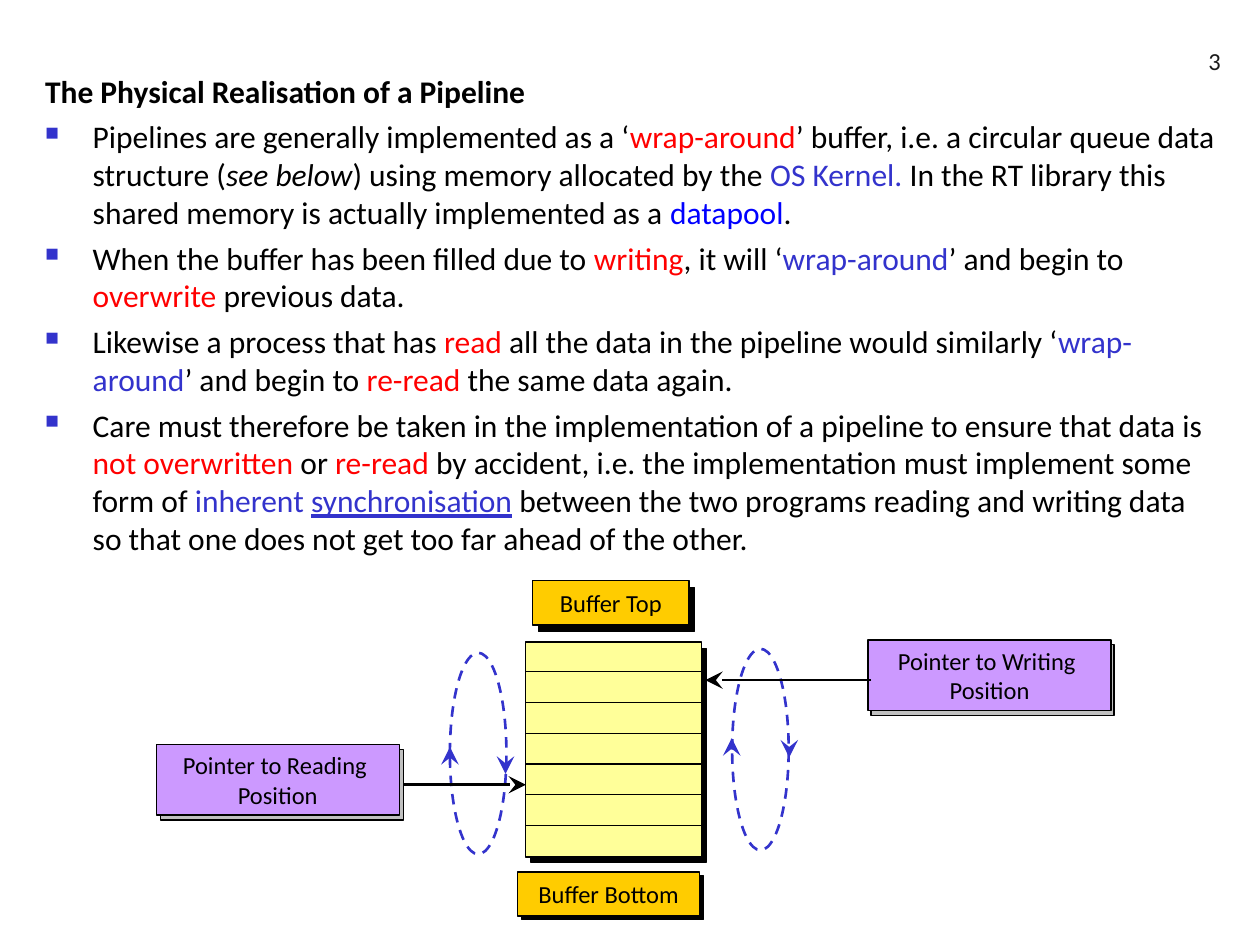
"""Build the slide on the physical realisation of a pipeline."""
from lxml import etree
from pptx import Presentation
from pptx import util as u
from pptx.dml.color import RGBColor
from pptx.enum import dml, shapes, text
from pptx.oxml.ns import qn

BLACK, RED, BLUE, PURE_BLUE = "000000", "FF0000", "3333CC", "0000FF"
GOLD, LILAC, GREY, YELLOW = "FFCC00", "CC99FF", "C0C0C0", "FFFF99"
SHAPE, ANCHOR, ALIGN = shapes.MSO_SHAPE, text.MSO_ANCHOR, text.PP_ALIGN


def paint(colour_format, value):
    colour_format.rgb = RGBColor.from_string(value)


def add(parent, tag, **attributes):
    return etree.SubElement(parent, qn(tag), attributes)


deck = Presentation()
deck.slide_width, deck.slide_height = u.Cm(25.4), u.Cm(19.05)
page = deck.slides.add_slide(deck.slide_layouts[6])

number = page.shapes.add_textbox(u.Cm(19.58), u.Cm(0.38), u.Cm(5.28), u.Cm(1.27))
number.text_frame.vertical_anchor = ANCHOR.BOTTOM
para = number.text_frame.paragraphs[0]
para.text, para.alignment = "3", ALIGN.RIGHT
for name, value in {"name": "Calibri", "size": u.Pt(14)}.items():
    setattr(para.font, name, value)
paint(para.font.color, "1C1C1C")

bold, italic, underline = {"bold": True}, {"italic": True}, {"underline": True}
paragraphs = [
    [("The Physical Realisation of a Pipeline", BLACK, bold)],
    [("Pipelines are generally implemented as a ‘", BLACK, {}),
     ("wrap-around", RED, {}),
     ("’ buffer, i.e. a circular queue data structure (", BLACK, {}),
     ("see below", BLACK, italic),
     (") using memory allocated by the ", BLACK, {}),
     ("OS Kernel. ", BLUE, {}),
     ("In the RT library this shared memory is actually implemented as a ", BLACK, {}),
     ("datapool", PURE_BLUE, {}),
     (".", BLACK, {})],
    [("When the buffer has been filled due to ", BLACK, {}),
     ("writing", RED, {}),
     (", it will ‘", BLACK, {}),
     ("wrap-around", BLUE, {}),
     ("’ and begin to ", BLACK, {}),
     ("overwrite", RED, {}),
     (" previous data.", BLACK, {})],
    [("Likewise a process that has ", BLACK, {}),
     ("read", RED, {}),
     (" all the data in the pipeline would similarly ‘", BLACK, {}),
     ("wrap-around", BLUE, {}),
     ("’ and begin to ", BLACK, {}),
     ("re-read", RED, {}),
     (" the same data again.", BLACK, {})],
    [("Care must therefore be taken in the implementation of a pipeline "
      "to ensure that data is ", BLACK, {}),
     ("not overwritten", RED, {}),
     (" or ", BLACK, {}),
     ("re-read", RED, {}),
     (" by accident, i.e. the implementation must implement some form of ", BLACK, {}),
     ("inherent ", BLUE, {}),
     ("synchronisation", BLUE, underline),
     (" between the two programs reading and writing data so that one does not "
      "get too far ahead of the other.", BLACK, {})],
]
body = page.shapes.add_textbox(u.Cm(0.66), u.Cm(1.32), u.Cm(24.2), u.Cm(16.23))
body.text_frame.word_wrap = True
for index, spans in enumerate(paragraphs):
    para = body.text_frame.paragraphs[0] if index == 0 else body.text_frame.add_paragraph()
    if index:
        properties = para._p.get_or_add_pPr()
        properties.set("marL", str(u.Cm(0.96)))
        properties.set("indent", str(u.Cm(-0.96)))
        add(add(properties, "a:buClr"), "a:srgbClr", val=BLUE)
        add(properties, "a:buSzPct", val="60000")
        add(properties, "a:buChar", char="■")
        para.space_before = u.Pt(4.5)
    for wording, colour, style in spans:
        span = para.add_run()
        span.text = wording
        for name, value in {"name": "Calibri", "size": u.Pt(18), **style}.items():
            setattr(span.font, name, value)
        paint(span.font.color, colour)

boxes = {}
for key, left, top, width, height, fill, label in [
    ("buffer shadow", 10.7, 13.08, 3.54, 4.3, BLACK, ""),
    ("buffer", 10.6, 12.94, 3.54, 4.34, YELLOW, ""),
    ("top shadow", 10.85, 11.84, 3.15, 0.89, BLACK, ""),
    ("top", 10.74, 11.71, 3.15, 0.89, GOLD, "Buffer Top"),
    ("bottom shadow", 10.52, 17.65, 3.66, 0.89, BLACK, ""),
    ("bottom", 10.44, 17.58, 3.66, 0.89, GOLD, "Buffer Bottom"),
    ("reading shadow", 3.23, 15.11, 4.9, 1.42, GREY, ""),
    ("reading", 3.15, 15.01, 4.9, 1.42, LILAC, "Pointer to Reading \vPosition"),
    ("writing shadow", 17.56, 13, 4.9, 1.42, GREY, ""),
    ("writing", 17.5, 12.9, 4.9, 1.42, LILAC, "Pointer to Writing \vPosition"),
]:
    box = page.shapes.add_shape(SHAPE.RECTANGLE, u.Cm(left), u.Cm(top), u.Cm(width), u.Cm(height))
    box.shadow.inherit = False
    box.fill.solid()
    paint(box.fill.fore_color, fill)
    paint(box.line.color, BLACK)
    box.line.width = u.Pt(0.75)
    boxes[key] = box
    if label:
        box.text_frame.word_wrap = False
        box.text_frame.vertical_anchor = ANCHOR.MIDDLE
        para = box.text_frame.paragraphs[0]
        para.text, para.alignment = label, ALIGN.CENTER
        for span in para.runs:
            for name, value in {"name": "Calibri", "size": u.Pt(14)}.items():
                setattr(span.font, name, value)
            paint(span.font.color, BLACK)

for left, top in [(9.07, 13.16), (14.76, 13.08)]:
    loop = page.shapes.add_shape(SHAPE.OVAL, u.Cm(left), u.Cm(top), u.Cm(1.14), u.Cm(4.06))
    loop.shadow.inherit = False
    loop.fill.background()
    paint(loop.line.color, BLUE)
    loop.line.width, loop.line.dash_style = u.Pt(1.5), dml.MSO_LINE.DASH

dividers = [(10.6, 13.54 + 0.62 * row, 14.14, 13.54 + 0.62 * row, BLACK, 0.75, False, None)
            for row in range(6)]
pointers = [
    (8.13, 15.82, 10.6, 15.82, BLACK, 1.5, True, ("reading shadow", 3)),
    (17.56, 13.71, 14.22, 13.71, BLACK, 1.5, True, ("writing shadow", 1)),
]
turns = [(x, start, x, end, BLUE, 0, True, None) for x, start, end in [
    (14.75, 15.19, 14.88), (9.07, 15.39, 15.06), (10.19, 15.29, 15.6), (15.91, 14.96, 15.27)]]
for x1, y1, x2, y2, colour, weight, arrow, joint in dividers + pointers + turns:
    line = page.shapes.add_connector(
        shapes.MSO_CONNECTOR.STRAIGHT, u.Cm(x1), u.Cm(y1), u.Cm(x2), u.Cm(y2))
    if joint:
        line.begin_connect(boxes[joint[0]], joint[1])
    paint(line.line.color, colour)
    line.line.width = u.Pt(weight)
    if arrow:
        add(line.line._get_or_add_ln(), "a:tailEnd", type="stealth", w="lg", len="lg")
    add(line._element.spPr, "a:effectLst")

deck.save("out.pptx")
